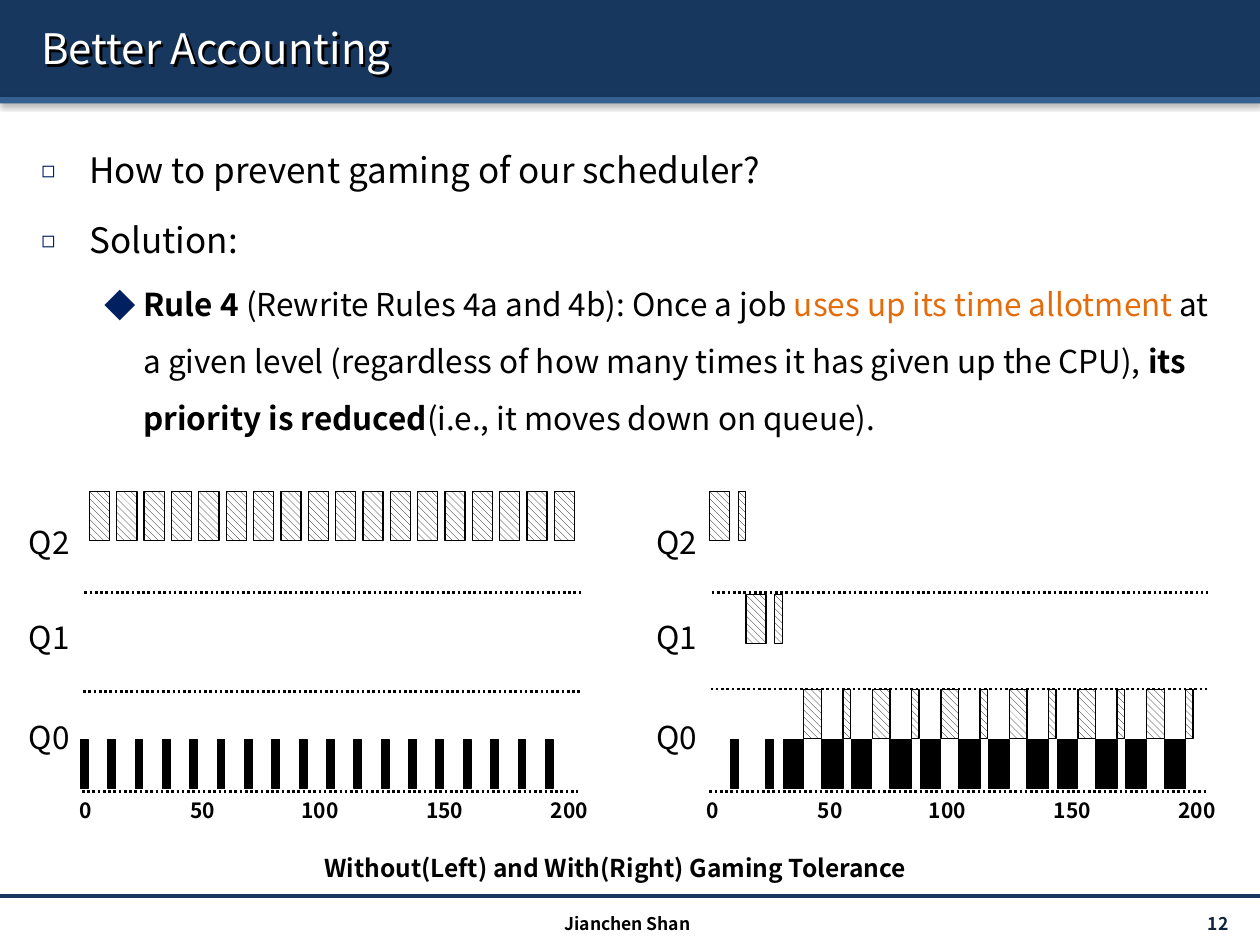
from lxml import etree
from pptx import Presentation
from pptx.dml.color import RGBColor
from pptx.enum.dml import MSO_LINE, MSO_PATTERN
from pptx.enum.shapes import MSO_CONNECTOR, MSO_SHAPE
from pptx.enum.text import MSO_ANCHOR, PP_ALIGN
from pptx.oxml import parse_xml
from pptx.oxml.ns import nsdecls, qn
from pptx.util import Inches, Pt

LEFT, CENTER, RIGHT = PP_ALIGN.LEFT, PP_ALIGN.CENTER, PP_ALIGN.RIGHT
TOP, MIDDLE = MSO_ANCHOR.TOP, MSO_ANCHOR.MIDDLE
RECTANGLE, STRAIGHT = MSO_SHAPE.RECTANGLE, MSO_CONNECTOR.STRAIGHT
DOTTED, HATCH = MSO_LINE.ROUND_DOT, MSO_PATTERN.WIDE_DOWNWARD_DIAGONAL
FONT = "Noto Sans CJK KR"
BLACK, WHITE, NAVY, BLUE, ORANGE = "000000", "FFFFFF", "17375E", "376092", "E46C0A"

BODY = [
    (0, 20, [("How to prevent gaming of our scheduler?", BLACK, False)]),
    (0, 20, [("Solution:", BLACK, False)]),
    (1, 18, [
        ("Rule 4 ", BLACK, True),
        ("(Rewrite Rules 4a and 4b): Once a job ", BLACK, False),
        ("uses up its time allotment ", ORANGE, False),
        ("at a given level (regardless of how many times it has given up the CPU), ", BLACK, False),
        ("its priority is reduced", BLACK, True),
        ("(i.e., it moves down on queue).", BLACK, False),
    ]),
]
LEVELS = [
    {"margin": 0.38, "hang": 0.38, "bullet": "◻", "percent": 65},
    {"margin": 0.81, "hang": 0.31, "bullet": "◆", "percent": 100},
]
QUEUES = [("Q2", 4.1), ("Q1", 4.86), ("Q0", 5.65)]
TICKS = [("0", 0, 0.24), ("50", 0.96, 0.47), ("100", 1.89, 0.61),
         ("150", 2.88, 0.61), ("200", 3.87, 0.61)]
CHARTS = [
    {"origin": 0.65, "labels": -0.04, "rules": [(0.02, 4.7), (0.01, 5.49), (0, 6.28)]},
    {"origin": 5.63, "labels": 4.94, "rules": [(0.02, 4.7), (0.01, 5.47), (0, 6.28)]},
]
BAR_HEIGHT, WIDE, NARROW = 0.39, 0.16, 0.06
Q2_TOP, Q1_TOP, Q0_TOP, RUN_TOP = 3.9, 4.72, 5.47, 5.87
SLOTS, SLOT_PITCH = 18, 3.69 / 17
CYCLES, CYCLE_START, CYCLE_PITCH = 6, 6.38, 2.72 / 5
CYCLE = [(0, Q0_TOP, 0.14, True), (0.14, RUN_TOP, 0.17, False),
         (0.31, Q0_TOP, NARROW, True), (0.38, RUN_TOP, WIDE, False)]
START = [(5.63, Q2_TOP, WIDE, True), (5.86, Q2_TOP, NARROW, True),
         (5.92, Q1_TOP, WIDE, True), (6.15, Q1_TOP, NARROW, True),
         (5.8, RUN_TOP, NARROW, False), (6.08, RUN_TOP, NARROW, False),
         (6.22, RUN_TOP, WIDE, False)]


def color(value):
    return RGBColor.from_string(value)


def add_shadow(shape, blur, distance, angle, alpha):
    shape._element.spPr.append(parse_xml(
        f'<a:effectLst {nsdecls("a")}><a:outerShdw blurRad="{Pt(blur)}" dist="{Pt(distance)}" '
        f'dir="{angle * 60000}" algn="ctr" rotWithShape="0"><a:srgbClr val="{BLACK}">'
        f'<a:alpha val="{alpha * 1000}"/></a:srgbClr></a:outerShdw></a:effectLst>'))


def add_span(para, text, size, ink=BLACK, bold=False):
    span = para.add_run()
    span.text = text
    span.font.size, span.font.bold = Pt(size), bold
    span.font.color.rgb = color(ink)
    span.font.name = FONT


def add_box(left, top, width, height, anchor=TOP, wrap=True):
    box = page.shapes.add_textbox(Inches(left), Inches(top), Inches(width), Inches(height))
    box.text_frame.word_wrap = wrap
    box.text_frame.vertical_anchor = anchor
    return box


def add_label(text, area, size, align, ink=BLACK, bold=False, anchor=TOP, wrap=True):
    box = add_box(*area, anchor, wrap)
    para = box.text_frame.paragraphs[0]
    para.alignment = align
    add_span(para, text, size, ink, bold)
    return box


def add_bar(left, top, width, hatched):
    bar = page.shapes.add_shape(RECTANGLE, Inches(left), Inches(top), Inches(width), Inches(BAR_HEIGHT))
    bar.shadow.inherit = False
    if hatched:
        bar.fill.patterned()
        bar.fill.pattern = HATCH
        bar.fill.fore_color.rgb, bar.fill.back_color.rgb = color(BLACK), color(WHITE)
    else:
        bar.fill.solid()
        bar.fill.fore_color.rgb = color(BLACK)
    bar.line.color.rgb, bar.line.width = color(BLACK), Pt(0.75)


def add_rule(left, right, y, ink, width, dash=None):
    rule = page.shapes.add_connector(STRAIGHT, Inches(left), Inches(y), Inches(right), Inches(y))
    rule.line.color.rgb, rule.line.width = color(ink), Pt(width)
    if dash:
        rule.line.dash_style = dash
    etree.SubElement(rule._element.spPr, qn("a:effectLst"))


def add_band(top, height, ink):
    band = page.shapes.add_shape(RECTANGLE, 0, Inches(top), deck.slide_width, Inches(height))
    band.fill.solid()
    band.fill.fore_color.rgb = color(ink)
    band.line.fill.background()
    add_shadow(band, 3.1, 1.6, 90, 38)


def add_bullet(para, margin, hang, bullet, percent):
    props = para._p.get_or_add_pPr()
    props.set("marL", str(Inches(margin)))
    props.set("indent", str(-Inches(hang)))
    ink = etree.SubElement(props, qn("a:buClr"))
    etree.SubElement(ink, qn("a:srgbClr"), val="002060")
    etree.SubElement(props, qn("a:buSzPct"), val=str(percent * 1000))
    etree.SubElement(props, qn("a:buFont"), typeface=FONT)
    etree.SubElement(props, qn("a:buChar"), char=bullet)


deck = Presentation()
deck.slide_width, deck.slide_height = Inches(10), Inches(7.5)
page = deck.slides.add_slide(deck.slide_layouts[6])

add_band(0, 0.77, NAVY)
add_band(0.77, 0.05, BLUE)
add_rule(0, 10, 7.11, NAVY, 2)
title = add_label("Better Accounting", (0.23, 0.06, 9.61, 0.64), 24, LEFT, WHITE, anchor=MIDDLE)
add_shadow(title, 0, 2, 45, 100)

body = add_box(0.23, 0.96, 9.61, 6.02).text_frame
for index, (level, size, spans) in enumerate(BODY):
    para = body.add_paragraph() if index else body.paragraphs[0]
    para.level = level
    para.line_spacing, para.space_before = 1.5, Pt(size * 0.2)
    add_bullet(para, **LEVELS[level])
    for text, ink, bold in spans:
        add_span(para, text, size, ink, bold)

add_label("12 ", (8.71, 7.21, 1.17, 0.24), 10, RIGHT, "0F243E", True, MIDDLE)
add_label("Jianchen Shan", (3.32, 7.2, 3.32, 0.24), 10, CENTER, bold=True)

for chart in CHARTS:
    for shift, y in chart["rules"]:
        left = chart["origin"] + shift
        add_rule(left, left + 3.94, y, BLACK, 1.5, DOTTED)
    for text, offset, width in TICKS:
        center = chart["origin"] + offset
        add_label(text, (center - width / 2, 6.28, width, 0.3), 12, CENTER, bold=True, wrap=False)
    for text, top in QUEUES:
        add_label(text, (chart["labels"], top, 0.69, 0.4), 18, RIGHT)

for slot in range(SLOTS):
    add_bar(0.64 + slot * SLOT_PITCH, RUN_TOP, NARROW, False)
    add_bar(0.71 + slot * SLOT_PITCH, Q2_TOP, WIDE, True)

cycle_bars = [(CYCLE_START + cycle * CYCLE_PITCH + offset, top, width, hatched)
              for cycle in range(CYCLES) for offset, top, width, hatched in CYCLE]
for bar in START + cycle_bars[:-1]:
    add_bar(*bar)

add_label("Without(Left) and With(Right) Gaming Tolerance", (1.3, 6.72, 7.17, 0.34), 14, CENTER, bold=True)
deck.save("out.pptx")
